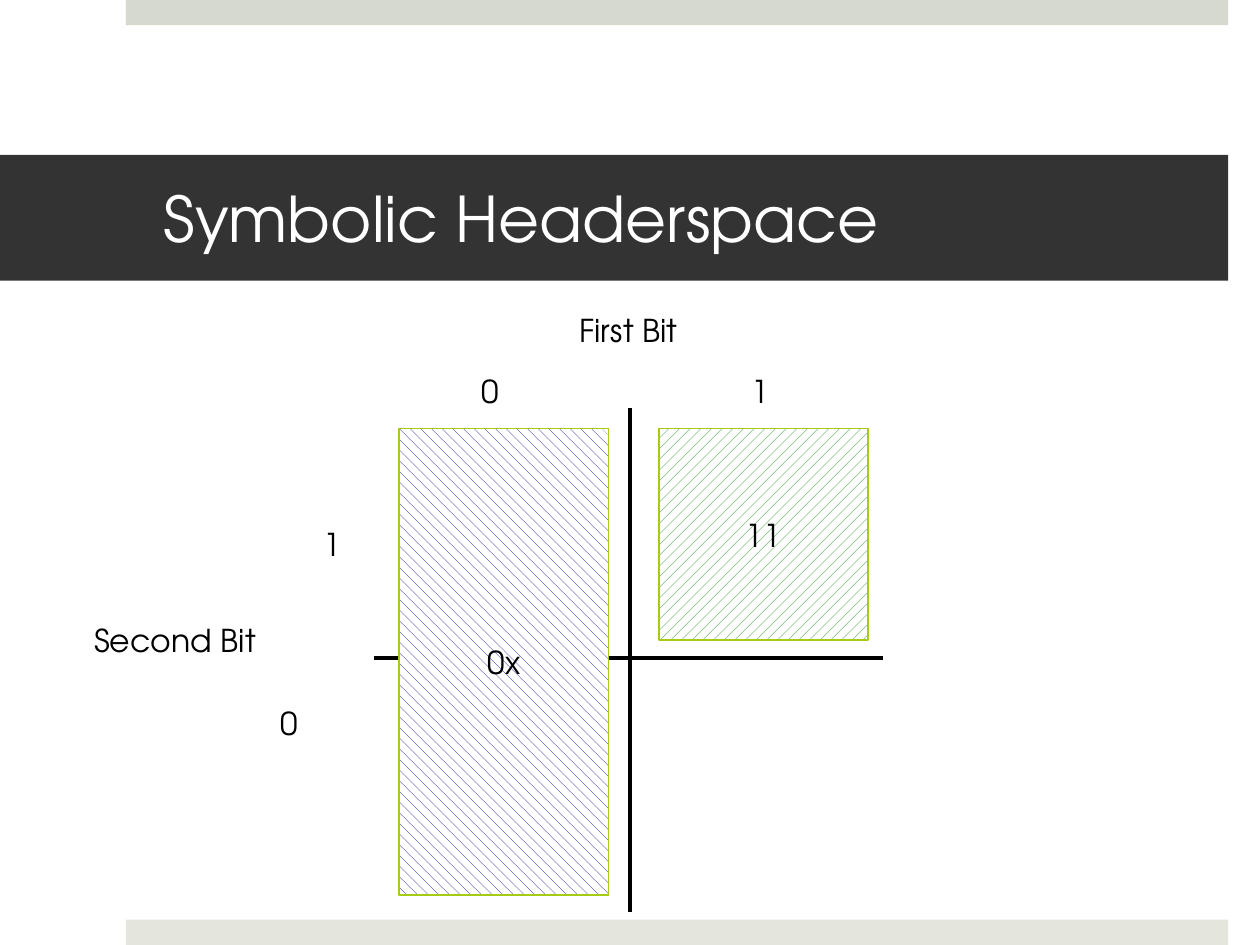
"""Build the Symbolic Headerspace slide, a two-bit map with two hatched regions."""
from lxml import etree
from pptx import Presentation
from pptx.dml.color import RGBColor
from pptx.enum.dml import MSO_PATTERN
from pptx.enum.shapes import MSO_CONNECTOR, MSO_SHAPE
from pptx.enum.text import MSO_ANCHOR, MSO_AUTO_SIZE, PP_ALIGN
from pptx.oxml.ns import qn
from pptx.util import Cm, Pt

RECTANGLE = MSO_SHAPE.RECTANGLE
STRAIGHT = MSO_CONNECTOR.STRAIGHT
DOWNWARD = MSO_PATTERN.DASHED_DOWNWARD_DIAGONAL
UPWARD = MSO_PATTERN.DASHED_UPWARD_DIAGONAL
MIDDLE = MSO_ANCHOR.MIDDLE
LEFT, CENTER = PP_ALIGN.LEFT, PP_ALIGN.CENTER
FIXED, GROW = MSO_AUTO_SIZE.NONE, MSO_AUTO_SIZE.SHAPE_TO_FIT_TEXT

THEME = {
    "font": "TeX Gyre Adventor",
    "title_size": Pt(36),
    "label_size": Pt(18),
    "axis_width": Pt(2),
    "border_width": Pt(1),
    "white": RGBColor.from_string("FFFFFF"),
    "black": RGBColor.from_string("000000"),
    "band": RGBColor.from_string("333333"),
    "top_bar": RGBColor.from_string("D6D9CD"),
    "bottom_bar": RGBColor.from_string("E4E6DE"),
    "border": RGBColor.from_string("A5CC12"),
    "blue": RGBColor.from_string("000090"),
    "green": RGBColor.from_string("008000"),
}


def write(box, text, size, color, align, frame_format):
    frame = box.text_frame
    for name, value in frame_format.items():
        setattr(frame, name, value)
    para = frame.paragraphs[0]
    para.alignment = align
    span = para.add_run()
    span.text = text
    span.font.name = THEME["font"]
    span.font.size = THEME[size]
    span.font.color.rgb = THEME[color]


def add_rectangle(page, left, top, width, height):
    box = page.shapes.add_shape(RECTANGLE, Cm(left), Cm(top), Cm(width), Cm(height))
    box.shadow.inherit = False
    return box


deck = Presentation()
deck.slide_width, deck.slide_height = Cm(25.4), Cm(19.05)
page = deck.slides.add_slide(deck.slide_layouts[5])

bar_height = 0.51
for top, color in ((0, "top_bar"), (19.05 - bar_height, "bottom_bar")):
    bar = add_rectangle(page, 2.54, top, 22.22, bar_height)
    bar.fill.solid()
    bar.fill.fore_color.rgb = THEME[color]
    bar.line.fill.background()

title = page.shapes.title
title_place = {"left": Cm(0), "top": Cm(3.12), "width": Cm(24.76), "height": Cm(2.54)}
for name, value in title_place.items():
    setattr(title, name, value)
title.fill.solid()
title.fill.fore_color.rgb = THEME["band"]
title_format = {
    "margin_left": Cm(3.3),
    "margin_right": Cm(0.76),
    "margin_top": Cm(0.13),
    "margin_bottom": Cm(0.13),
    "vertical_anchor": MIDDLE,
    "auto_size": FIXED,
    "word_wrap": True,
}
write(title, "Symbolic Headerspace", "title_size", "white", LEFT, title_format)

axes = ((12.7, 8.23, 12.7, 18.39), (17.81, 13.26, 7.54, 13.26))
for ends in axes:
    axis = page.shapes.add_connector(STRAIGHT, *map(Cm, ends))
    axis.line.color.rgb = THEME["black"]
    axis.line.width = THEME["axis_width"]
    etree.SubElement(axis.element.spPr, qn("a:effectLst"))

digit_width, label_height, column_top = 0.86, 1.02, 7.37
labels = (
    ("0", 9.45, column_top, digit_width),
    ("1", 14.91, column_top, digit_width),
    ("0", 5.41, 14.07, digit_width),
    ("1", 6.27, 10.46, digit_width),
    ("Second Bit", 1.65, 12.4, 3.81),
    ("First Bit", 11.43, 6.15, 2.51),
)
label_format = {"word_wrap": False, "auto_size": GROW}
for text, left, top, width in labels:
    label = page.shapes.add_textbox(Cm(left), Cm(top), Cm(width), Cm(label_height))
    write(label, text, "label_size", "black", LEFT, label_format)

region_top, region_width = 8.64, 4.22
regions = (
    ("0x", 8.05, 9.4, DOWNWARD, "blue"),
    ("11", 13.28, 4.27, UPWARD, "green"),
)
region_format = {"word_wrap": True, "vertical_anchor": MIDDLE}
for text, left, height, pattern, color in regions:
    region = add_rectangle(page, left, region_top, region_width, height)
    region.fill.patterned()
    region.fill.pattern = pattern
    region.fill.fore_color.rgb = THEME[color]
    region.fill.back_color.rgb = THEME["white"]
    region.line.color.rgb = THEME["border"]
    region.line.width = THEME["border_width"]
    write(region, text, "label_size", "black", CENTER, region_format)

deck.save("out.pptx")
